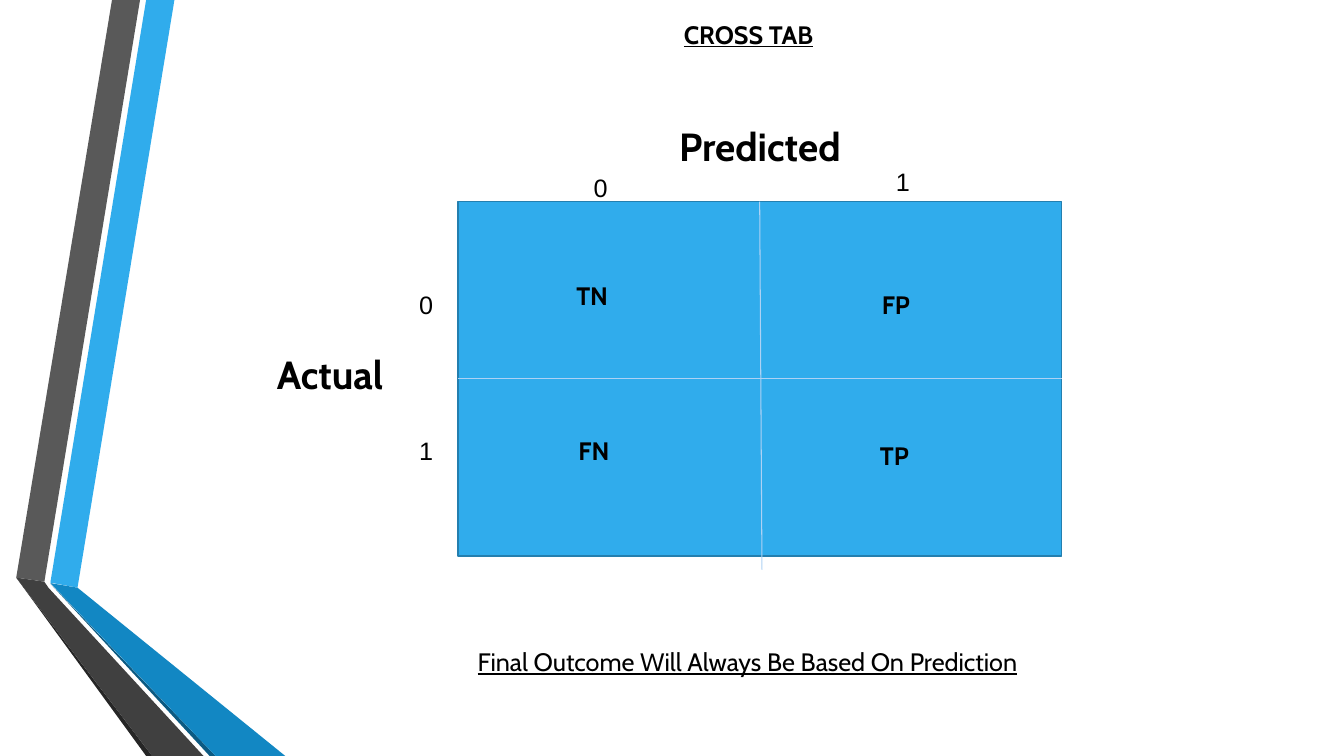
from lxml import etree
from pptx import Presentation
from pptx import util as u
from pptx.dml.color import RGBColor
from pptx.enum import shapes, text
from pptx.oxml import ns

COLOURS = {
    "blue": "30ACEC", "blue fold": "1287C3", "blue shade": "0C5A82",
    "grey": "595959", "grey fold": "404040", "grey shade": "262626",
    "outline": "247FAF", "divider": "AED2F4", "ink": "000000",
}

# Ribbon outlines, in points, from back to front
RIBBONS = [
    ("blue", [(36, 416.2), (55.4, 419.8), (124.6, 0), (104.4, 0)]),
    ("grey", [(100, 0), (80, 0), (11.6, 412.6), (31.7, 415.5)]),
    ("grey shade", [(11.6, 412.6), (104.4, 540), (108.7, 540)]),
    ("blue shade", [(36, 416.9), (149.8, 540), (154.1, 540)]),
    ("blue fold", [(36, 416.5), (154.1, 540), (203.8, 540), (55.4, 419.8)]),
    ("grey fold", [(145.4, 540), (34.6, 419.8), (31.7, 415.5),
                   (11.6, 412.6), (108.7, 540)]),
]

DIGIT = {"name": "Arial", "size": u.Pt(18)}
PLAIN = {"name": "Cabin", "size": u.Pt(18)}
BOLD = {**PLAIN, "bold": True}
AXIS = {**BOLD, "size": u.Pt(28)}
CENTRE, LEFT = text.PP_ALIGN.CENTER, text.PP_ALIGN.LEFT

# Words, left, top, width, height, alignment, font
LABELS = [
    ("Actual", 173.5, 247, 124.6, 41, CENTRE, AXIS),
    ("Predicted", 469.4, 84.2, 146.9, 41, CENTRE, AXIS),
    ("Final Outcome Will Always Be Based On Prediction",
     284.4, 458, 499, 29, CENTRE, {**PLAIN, "underline": True}),
    ("CROSS TAB", 381.6, 10, 306, 29, CENTRE, {**BOLD, "underline": True}),
]
DIGITS = [("0", 416.9, 119.5), ("1", 632.9, 115.2),
          ("0", 292.3, 203), ("1", 292.3, 307.4)]
OUTCOMES = [("TN", 404.6, 196.6), ("FP", 622.8, 203),
            ("FN", 406.1, 307.4), ("TP", 621.4, 311)]


def colour(name):
    return RGBColor.from_string(COLOURS[name])


def add_ribbon(page, fill, points):
    corners = [(u.Pt(x), u.Pt(y)) for x, y in points]
    builder = page.shapes.build_freeform(*corners[0])
    builder.add_line_segments(corners[1:], close=True)
    ribbon = builder.convert_to_shape()
    ribbon.shadow.inherit = False
    ribbon.fill.solid()
    ribbon.fill.fore_color.rgb = colour(fill)
    ribbon.line.fill.background()


def add_matrix(page, left, top, width, height):
    matrix = page.shapes.add_shape(
        shapes.MSO_SHAPE.RECTANGLE, *map(u.Pt, (left, top, width, height)))
    matrix.shadow.inherit = False
    matrix.fill.solid()
    matrix.fill.fore_color.rgb = colour("blue")
    matrix.line.color.rgb = colour("outline")
    matrix.line.width = u.Pt(1.25)
    return matrix


def add_divider(page, matrix, start, end, begin_side, end_side=None):
    divider = page.shapes.add_connector(
        shapes.MSO_CONNECTOR.STRAIGHT, *map(u.Pt, start + end))
    divider.begin_connect(matrix, begin_side)
    if end_side is not None:
        divider.end_connect(matrix, end_side)
    divider.line.color.rgb = colour("divider")
    divider.line.width = u.Pt(0.75)
    etree.SubElement(divider._element.spPr, ns.qn("a:effectLst"))


def add_label(page, words, left, top, width, height, align, font):
    box = page.shapes.add_textbox(*map(u.Pt, (left, top, width, height)))
    frame = box.text_frame
    frame.word_wrap = True
    frame.auto_size = text.MSO_AUTO_SIZE.SHAPE_TO_FIT_TEXT
    para = frame.paragraphs[0]
    para.alignment = align
    span = para.add_run()
    span.text = words
    for key, value in font.items():
        setattr(span.font, key, value)
    span.font.color.rgb = colour("ink")


def main():
    deck = Presentation()
    deck.slide_width, deck.slide_height = u.Pt(960), u.Pt(540)
    page = deck.slides.add_slide(deck.slide_layouts[6])

    # Folded ribbons on the left
    for fill, points in RIBBONS:
        add_ribbon(page, fill, points)

    # Matrix, with a slightly slanted upright divider that runs past its foot
    left, top, width, height = 327, 144, 431.3, 253.4
    centre, middle = left + width / 2, top + height / 2
    matrix = add_matrix(page, left, top, width, height)
    add_divider(page, matrix, (centre, top), (544.3, 406.8), 0)
    add_divider(page, matrix, (left, middle), (left + width, middle), 1, 3)

    # Title, axis names, class digits and outcomes
    for label in LABELS:
        add_label(page, *label)
    for words, x, y in DIGITS:
        add_label(page, words, x, y, 36.7, 29, LEFT, DIGIT)
    for words, x, y in OUTCOMES:
        add_label(page, words, x, y, 64.8, 51, LEFT, BOLD)

    deck.save("out.pptx")


if __name__ == "__main__":
    main()
